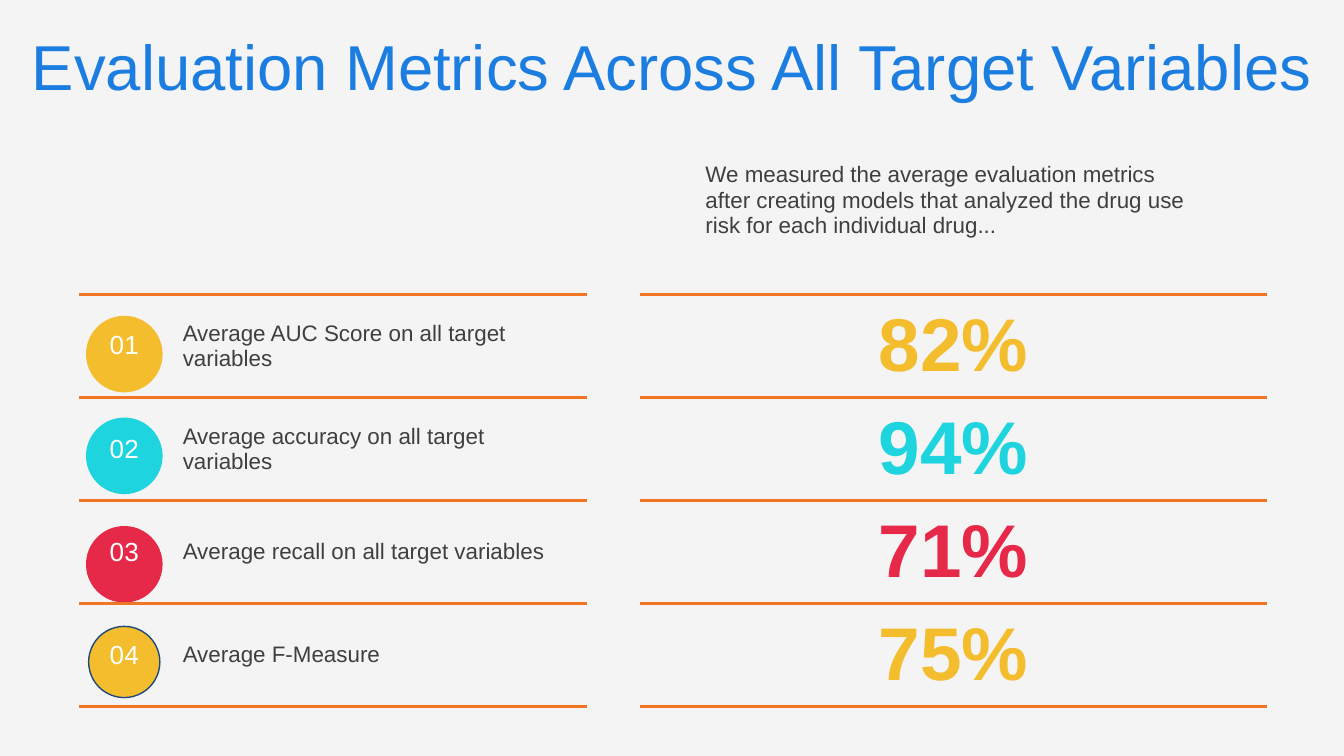
from lxml.etree import SubElement
from pptx import Presentation
from pptx.dml.color import RGBColor
from pptx.enum.shapes import MSO_SHAPE as Shape
from pptx.enum.text import MSO_ANCHOR as Anchor, PP_ALIGN as Align
from pptx.oxml import parse_xml
from pptx.oxml.ns import nsdecls, qn
from pptx.util import Inches, Pt

BLUE, ORANGE, INK, WHITE = "1C7DE1", "F07624", "3F3F3F", "FFFFFF"
YELLOW, CYAN, RED, NAVY = "F4BD2D", "1ED4DE", "E62949", "1F497D"
PLAIN_TABLE = "{2D5ABB26-0587-4C30-8999-92F81FD0307C}"

# Grid units are tenths of an inch.
COLUMNS = [6.7, 31.1, 3.9, 3.9, 38.9, 3.9]
GAP_COLUMN = 2
LEFT, TOP, HEADER, ROW = 5.9, 11.6, 10.3, 7.47

INTRO = ("We measured the average evaluation metrics after creating models "
         "that analyzed the drug use risk for each individual drug...")
# label, score, colour, badge size, badge drop below the row's top, outline
METRICS = [
    ("Average AUC Score on all target variables", "82%", YELLOW, 5.7, 1.6, None),
    ("Average accuracy on all target variables", "94%", CYAN, 5.7, 1.7, None),
    ("Average recall on all target variables", "71%", RED, 5.7, 2.3, None),
    ("Average F-Measure", "75%", YELLOW, 5.3, 2.3, NAVY),
]


def rgb(code):
    return RGBColor.from_string(code)


def grid(units):
    return Inches(units / 10)


def write(frame, text, size=12, color=INK, bold=False, align=Align.LEFT):
    frame.word_wrap = True
    paragraph = frame.paragraphs[0]
    paragraph.alignment = align
    run = paragraph.add_run()
    run.text = text
    run.font.name = "Arial"
    run.font.size = Pt(size)
    run.font.bold = bold
    run.font.color.rgb = rgb(color)


class Deck:
    def __init__(self, columns, rows, background):
        self.file = Presentation()
        self.file.slide_width, self.file.slide_height = grid(columns), grid(rows)
        self.slide = self.file.slides.add_slide(self.file.slide_layouts[6])
        fill = self.slide.background.fill
        fill.solid()
        fill.fore_color.rgb = rgb(background)

    def title(self, text, *box):
        frame = self.slide.shapes.add_textbox(*map(grid, box)).text_frame
        frame.vertical_anchor = Anchor.MIDDLE
        write(frame, text, size=34, color=BLUE, align=Align.CENTER)

    def badge(self, center, top, size, color, outline):
        circle = self.slide.shapes.add_shape(
            Shape.OVAL, grid(center - size / 2), grid(top), grid(size), grid(size))
        circle.shadow.inherit = False
        circle.fill.solid()
        circle.fill.fore_color.rgb = rgb(color)
        if outline:
            circle.line.color.rgb = rgb(outline)
            circle.line.width = Pt(0.75)
        else:
            circle.line.fill.background()

    def table(self, left, top, widths, heights):
        frame = self.slide.shapes.add_table(
            len(heights), len(widths), grid(left), grid(top),
            grid(sum(widths)), grid(sum(heights)))
        table = frame.table
        table.first_row = table.horz_banding = False
        table._tbl.tblPr.find(qn("a:tableStyleId")).text = PLAIN_TABLE
        for column, width in zip(table.columns, widths):
            column.width = grid(width)
        for row, height in zip(table.rows, heights):
            row.height = grid(height)
        for cell in table.iter_cells():
            cell.fill.background()
        return table

    def underline(self, cell, color=ORANGE, width=1.5):
        border = parse_xml(f'<a:lnB {nsdecls("a")} w="{Pt(width)}"/>')
        fill = SubElement(border, qn("a:solidFill"))
        SubElement(fill, qn("a:srgbClr"), val=color)
        cell._tc.get_or_add_tcPr().insert(0, border)

    def cell(self, cell, text, **style):
        cell.vertical_anchor = Anchor.MIDDLE
        write(cell.text_frame, text, **style)


def main():
    deck = Deck(100, 56.25, "F4F4F4")
    deck.title("Evaluation Metrics Across All Target Variables", 0, 0, 100, 9.7)

    for index, (_, _, color, size, drop, outline) in enumerate(METRICS):
        row_top = TOP + HEADER + index * ROW
        deck.badge(LEFT + COLUMNS[0] / 2, row_top + drop, size, color, outline)

    table = deck.table(LEFT, TOP, COLUMNS, [HEADER] + [ROW] * len(METRICS))
    for row in table.rows:
        for index, cell in enumerate(row.cells):
            if index != GAP_COLUMN:
                deck.underline(cell)

    write(table.cell(0, 4).text_frame, INTRO)
    for number, (label, score, color, *_) in enumerate(METRICS, start=1):
        deck.cell(table.cell(number, 0), f"{number:02}", size=14, color=WHITE,
                  align=Align.CENTER)
        deck.cell(table.cell(number, 1), label)
        score_cell = table.cell(number, 3)
        score_cell.merge(table.cell(number, 5))
        deck.cell(score_cell, score, size=40, color=color, bold=True,
                  align=Align.CENTER)

    deck.file.save("out.pptx")


if __name__ == "__main__":
    main()
